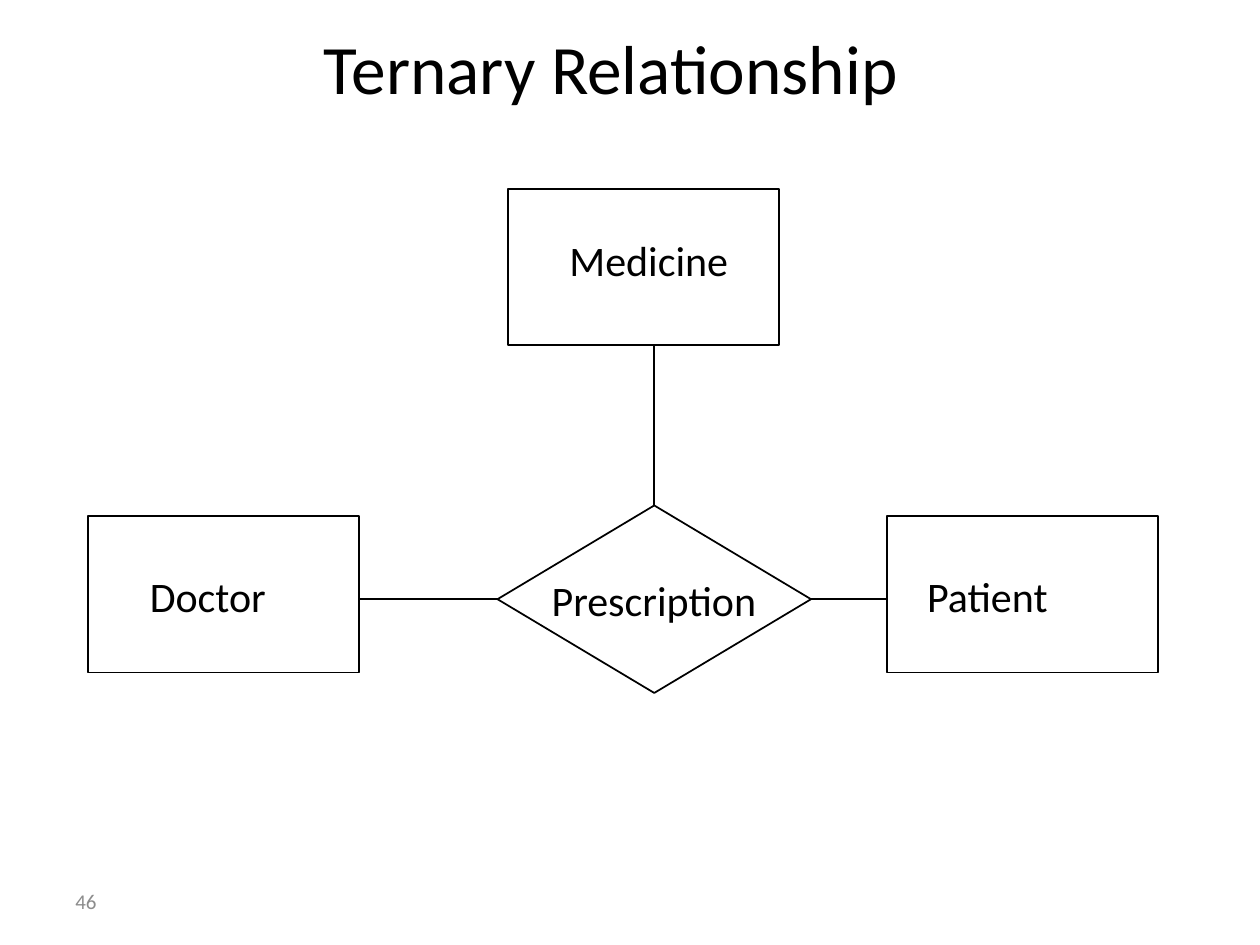
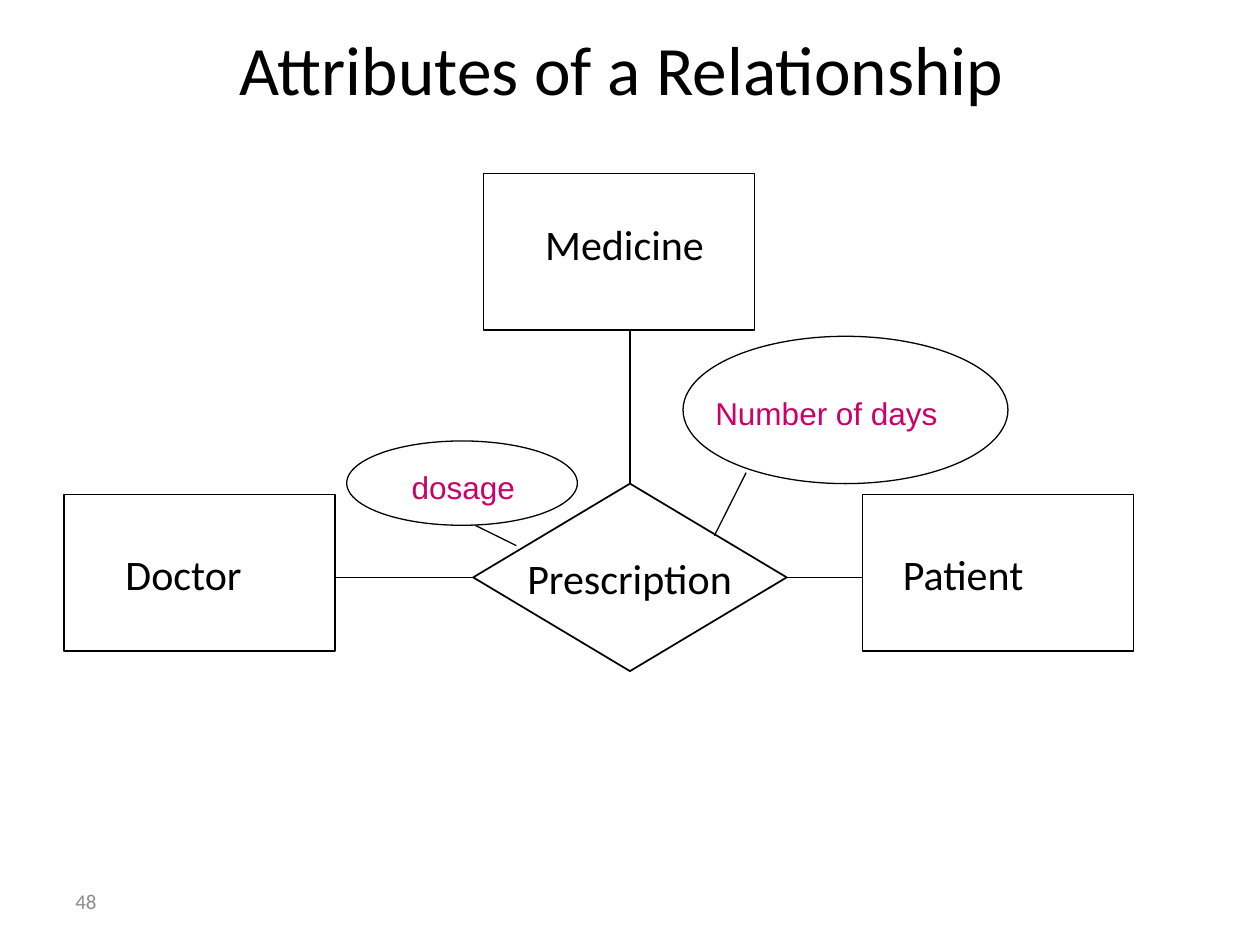
from dataclasses import dataclass

from lxml import etree
from pptx import Presentation
from pptx import util as u
from pptx.dml.color import RGBColor
from pptx.enum import shapes, text
from pptx.oxml import ns


@dataclass(frozen=True)
class Theme:
    """Hold the colours, fonts and sizes that both slides share."""
    ink: RGBColor = RGBColor(0, 0, 0)
    accent: RGBColor = RGBColor(0xCC, 0x00, 0x66)
    muted: RGBColor = RGBColor(0x8C, 0x8C, 0x8C)
    main_font: str = "Calibri"
    attribute_font: str = "Arial"
    title_size: float = 39.6
    entity_size: float = 24
    attribute_size: float = 18
    number_size: float = 12
    line: float = 1
    thin_line: float = 0.75


THEME = Theme()
ENTITY_SIZE = (5.46, 3.15)
DIAMOND_SIZE = (6.32, 3.78)


def style_text(frame, size, color, font=THEME.main_font):
    """Apply one font, size and colour to all runs of a frame."""
    for para in frame.paragraphs:
        for span in para.runs:
            span.font.name = font
            span.font.size = u.Pt(size)
            span.font.color.rgb = color


def add_title(page, words, left, top):
    """Place and format the title placeholder."""
    title = page.shapes.title
    title.left, title.top = u.Cm(left), u.Cm(top)
    title.width, title.height = u.Cm(23.83), u.Cm(1.42)
    frame = title.text_frame
    frame.text = words
    frame.margin_left = 0
    frame.vertical_anchor = text.MSO_ANCHOR.MIDDLE
    frame.auto_size = text.MSO_AUTO_SIZE.NONE
    frame.paragraphs[0].alignment = text.PP_ALIGN.CENTER
    style_text(frame, THEME.title_size, THEME.ink)


def add_label(page, words, left, top, width, height, wrap=False):
    """Add a text box and return its frame."""
    box = page.shapes.add_textbox(u.Cm(left), u.Cm(top), u.Cm(width), u.Cm(height))
    frame = box.text_frame
    frame.text = words
    frame.word_wrap = wrap
    return frame


def add_page_number(page, number):
    """Write the page number at the bottom left."""
    frame = add_label(page, str(number), 1.27, 17.65, 5.92, 1.02, wrap=True)
    frame.vertical_anchor = text.MSO_ANCHOR.MIDDLE
    style_text(frame, THEME.number_size, THEME.muted)


def add_outline(page, kind, left, top, size, weight=THEME.line):
    """Add an unfilled shape with a dark outline."""
    shape = page.shapes.add_shape(kind, u.Cm(left), u.Cm(top), *map(u.Cm, size))
    shape.shadow.inherit = False
    shape.fill.background()
    shape.line.color.rgb = THEME.ink
    shape.line.width = u.Pt(weight)
    return shape


def add_line(page, start, end, weight=THEME.line):
    """Draw a straight connector between two points."""
    line = page.shapes.add_connector(
        shapes.MSO_CONNECTOR.STRAIGHT, *map(u.Cm, (*start, *end)))
    line.line.color.rgb = THEME.ink
    line.line.width = u.Pt(weight)
    etree.SubElement(line._element.spPr, ns.qn("a:effectLst"))
    return line


def add_node(page, kind, name, left, top, size, inset, label_width):
    """Add an entity or relationship with its name inside."""
    node = add_outline(page, kind, left, top, size)
    frame = add_label(page, name, left + inset[0], top + inset[1], label_width, 1.27)
    frame.auto_size = text.MSO_AUTO_SIZE.SHAPE_TO_FIT_TEXT
    style_text(frame, THEME.entity_size, THEME.ink)
    return node


def add_attribute(page, name, left, top, size, inset, label_width, start, end):
    """Add an attribute oval, its name and its link."""
    add_outline(page, shapes.MSO_SHAPE.OVAL, left, top, size, THEME.thin_line)
    frame = add_label(page, name, left + inset[0], top + inset[1],
                      label_width, 1.02, wrap=True)
    frame.auto_size = text.MSO_AUTO_SIZE.SHAPE_TO_FIT_TEXT
    style_text(frame, THEME.attribute_size, THEME.accent, THEME.attribute_font)
    add_line(page, start, end, THEME.thin_line)


def add_prescription_diagram(page, left, medicine_top, row_top):
    """Draw the three entities around the Prescription relationship."""
    entity = shapes.MSO_SHAPE.RECTANGLE
    doctor_right = left + ENTITY_SIZE[0]
    patient_left = left + 16.1
    diamond_left, diamond_top = left + 8.25, row_top - 0.22
    diamond_right = diamond_left + DIAMOND_SIZE[0]
    center = diamond_left + DIAMOND_SIZE[0] / 2
    middle = diamond_top + DIAMOND_SIZE[1] / 2
    medicine_bottom = medicine_top + ENTITY_SIZE[1]

    add_node(page, entity, "Doctor", left, row_top, ENTITY_SIZE, (0.99, 0.97), 3)
    add_node(page, entity, "Patient", patient_left, row_top, ENTITY_SIZE,
             (0.56, 0.97), 3.15)
    add_node(page, entity, "Medicine", left + 8.46, medicine_top, ENTITY_SIZE,
             (0.99, 0.79), 3.89)
    diamond = add_node(page, shapes.MSO_SHAPE.DIAMOND, "Prescription",
                       diamond_left, diamond_top, DIAMOND_SIZE, (0.84, 1.27), 4.98)

    links = (
        ((center, medicine_bottom), (center, diamond_top), 0),
        ((doctor_right, middle), (diamond_left, middle), 1),
        ((patient_left, middle), (diamond_right, middle), 3),
    )
    for start, end, side in links:
        add_line(page, start, end).end_connect(diamond, side)


def add_page(deck, title, title_at, number):
    """Add a slide with its title and number."""
    page = deck.slides.add_slide(deck.slide_layouts[5])
    add_title(page, title, *title_at)
    add_page_number(page, number)
    return page


def main():
    """Build both slides and save the deck."""
    deck = Presentation()
    deck.slide_width, deck.slide_height = u.Cm(25.4), u.Cm(19.05)

    ternary = add_page(deck, "Ternary Relationship", (0.53, 0.64), 46)
    add_prescription_diagram(ternary, 1.78, 3.81, 10.41)

    attributes = add_page(deck, "Attributes of a Relationship", (0.74, 0.66), 48)
    add_prescription_diagram(attributes, 1.29, 3.5, 9.97)
    add_attribute(attributes, "dosage", 6.99, 8.89, (4.65, 1.7), (1.06, 0.43), 2.97,
                  (9.58, 10.59), (10.41, 11))
    add_attribute(attributes, "Number of days", 13.77, 6.78, (6.55, 2.97),
                  (0.4, 1.04), 5.51, (14.4, 10.8), (15.04, 9.53))

    deck.save("out.pptx")


if __name__ == "__main__":
    main()
